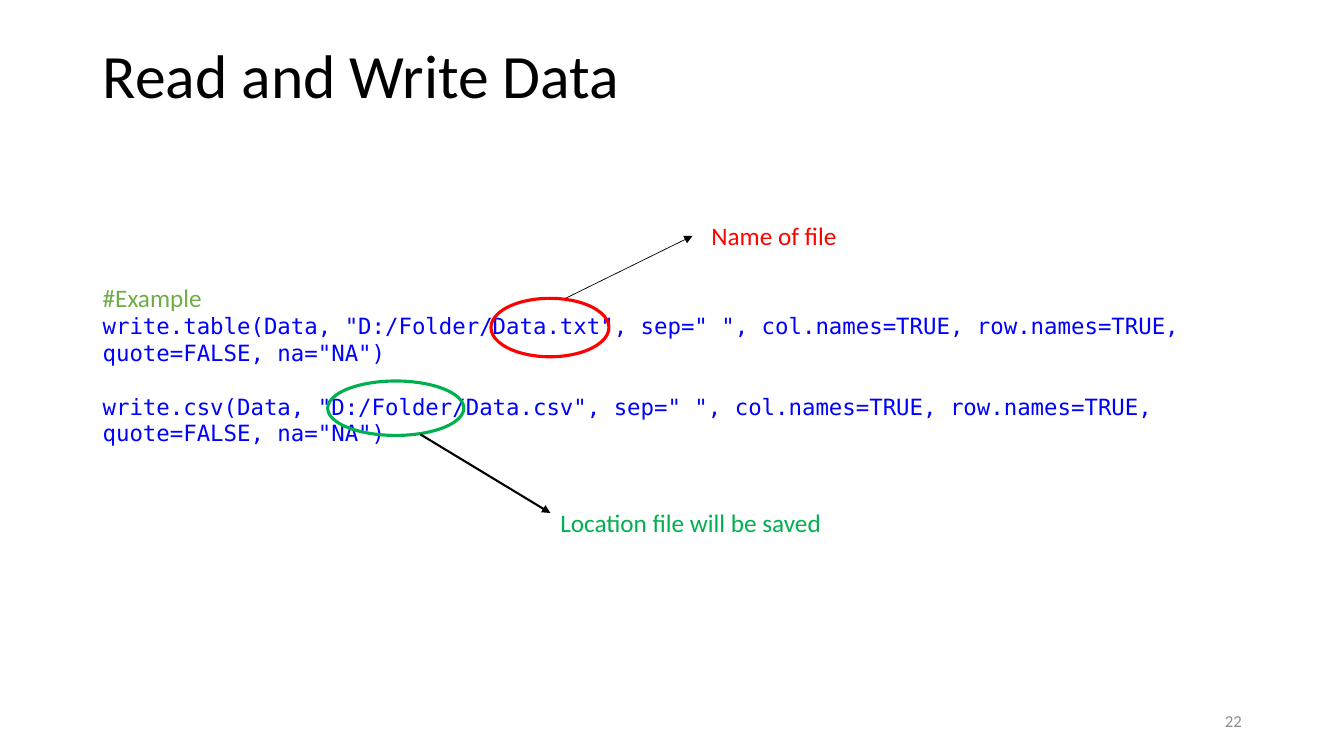
from dataclasses import dataclass

from lxml import etree
from pptx import Presentation
from pptx.dml.color import RGBColor
from pptx.enum.shapes import MSO_CONNECTOR, MSO_SHAPE
from pptx.enum.text import MSO_ANCHOR, MSO_AUTO_SIZE, PP_ALIGN
from pptx.oxml.ns import qn
from pptx.util import Inches, Pt

STRAIGHT = MSO_CONNECTOR.STRAIGHT
ELLIPSE = MSO_SHAPE.OVAL
TOP, MIDDLE = MSO_ANCHOR.TOP, MSO_ANCHOR.MIDDLE
LEFT, RIGHT = PP_ALIGN.LEFT, PP_ALIGN.RIGHT
NO_FIT, GROW = MSO_AUTO_SIZE.NONE, MSO_AUTO_SIZE.SHAPE_TO_FIT_TEXT

SLIDE_WIDTH, SLIDE_HEIGHT = Inches(13.333), Inches(7.5)
COLUMN, ROW = SLIDE_WIDTH / 100, SLIDE_HEIGHT / 100


@dataclass(frozen=True)
class Theme:
    sans: str = "Calibri"
    mono: str = "DejaVu Sans Mono"
    black: str = "000000"
    gray: str = "8C8C8C"
    comment: str = "70AD47"
    code: str = "0000FF"
    file_name: str = "FF0000"
    location: str = "00B050"
    title_size: int = 44
    text_size: int = 18
    code_size: int = 16
    number_size: int = 12
    command_gap: int = 19
    ring_width: float = 2.25


THEME = Theme()


@dataclass(frozen=True)
class Box:
    left: float
    top: float
    columns: float
    rows: float

    def inside(self, left, top, columns, rows):
        return Box(self.left + left, self.top + top, columns, rows)

    def point(self, column, row):
        return int((self.left + column) * COLUMN), int((self.top + row) * ROW)

    def extent(self):
        return (*self.point(0, 0), int(self.columns * COLUMN), int(self.rows * ROW))


def apply(target, formats):
    for attribute, value in formats.items():
        setattr(target, attribute, value)


def write(paragraph, wording, size, color, family=THEME.sans, **formats):
    run = paragraph.add_run()
    run.text = wording
    apply(run.font, {"size": Pt(size), "name": family})
    run.font.color.rgb = RGBColor.from_string(color)
    apply(paragraph, formats)


def add_text_frame(slide, box, **formats):
    frame = slide.shapes.add_textbox(*box.extent()).text_frame
    apply(frame, {"word_wrap": True, **formats})
    return frame


def draw_title(slide, box, wording):
    heading = slide.shapes.title
    apply(heading, dict(zip(("left", "top", "width", "height"), box.extent())))
    apply(heading.text_frame, {"vertical_anchor": TOP, "auto_size": NO_FIT, "word_wrap": True})
    write(heading.text_frame.paragraphs[0], wording, THEME.title_size, THEME.black,
          alignment=LEFT, line_spacing=0.9)


def draw_page_number(slide, box, number):
    frame = add_text_frame(slide, box, vertical_anchor=MIDDLE)
    write(frame.paragraphs[0], number, THEME.number_size, THEME.gray, alignment=RIGHT)


def draw_commands(slide, box, comment, commands):
    frame = add_text_frame(slide, box, auto_size=GROW)
    write(frame.paragraphs[0], comment, THEME.text_size, THEME.comment)
    for index, command in enumerate(commands):
        write(frame.add_paragraph(), command, THEME.code_size, THEME.code, THEME.mono,
              space_before=Pt(THEME.command_gap if index else 0))


def draw_callout(slide, ring_box, label_box, start, end, wording, color, arrow_width):
    ring = slide.shapes.add_shape(ELLIPSE, *ring_box.extent())
    ring.shadow.inherit = False
    ring.fill.background()
    ring.line.color.rgb = RGBColor.from_string(color)
    ring.line.width = Pt(THEME.ring_width)

    arrow = slide.shapes.add_connector(STRAIGHT, *start, *end)
    arrow.line.color.rgb = RGBColor.from_string(THEME.black)
    arrow.line.width = Pt(arrow_width)
    etree.SubElement(arrow.line._get_or_add_ln(), qn("a:tailEnd"), type="triangle")
    etree.SubElement(arrow._element.spPr, qn("a:effectLst"))

    frame = add_text_frame(slide, label_box, auto_size=GROW, word_wrap=False)
    write(frame.paragraphs[0], wording, THEME.text_size, color)


def draw_example(slide, box):
    options = 'sep=" ", col.names=TRUE, row.names=TRUE, quote=FALSE, na="NA")'
    commands = [f'write.{kind}(Data, "D:/Folder/Data.{suffix}", {options}'
                for kind, suffix in (("table", "txt"), ("csv", "csv"))]
    draw_commands(slide, box.inside(0, 8.13, box.columns, 26.93), "#Example", commands)
    draw_callout(slide, box.inside(29.63, 10.93, 8.78, 7.73), box.inside(45.3, 0, 10.95, 5.33),
                 box.point(35.18, 10.93), box.point(44.63, 2.67),
                 "Name of file", THEME.file_name, 0.5)
    draw_callout(slide, box.inside(17.48, 21.87, 10.13, 7.2), box.inside(34.05, 37.87, 21.15, 5.33),
                 box.point(24.38, 28.93), box.point(34.05, 39.33),
                 "Location file will be saved", THEME.location, 1.5)


def build_slide(deck):
    slide = deck.slides.add_slide(deck.slide_layouts.get_by_name("Title Only"))
    draw_title(slide, Box(6.9, 5.33, 86.25, 19.33), "Read and Write Data")
    draw_page_number(slide, Box(70.65, 92.67, 22.5, 5.33), "22")
    draw_example(slide, Box(6.9, 28.53, 83.48, 43.2))


deck = Presentation()
apply(deck, {"slide_width": SLIDE_WIDTH, "slide_height": SLIDE_HEIGHT})
build_slide(deck)
deck.save("out.pptx")
